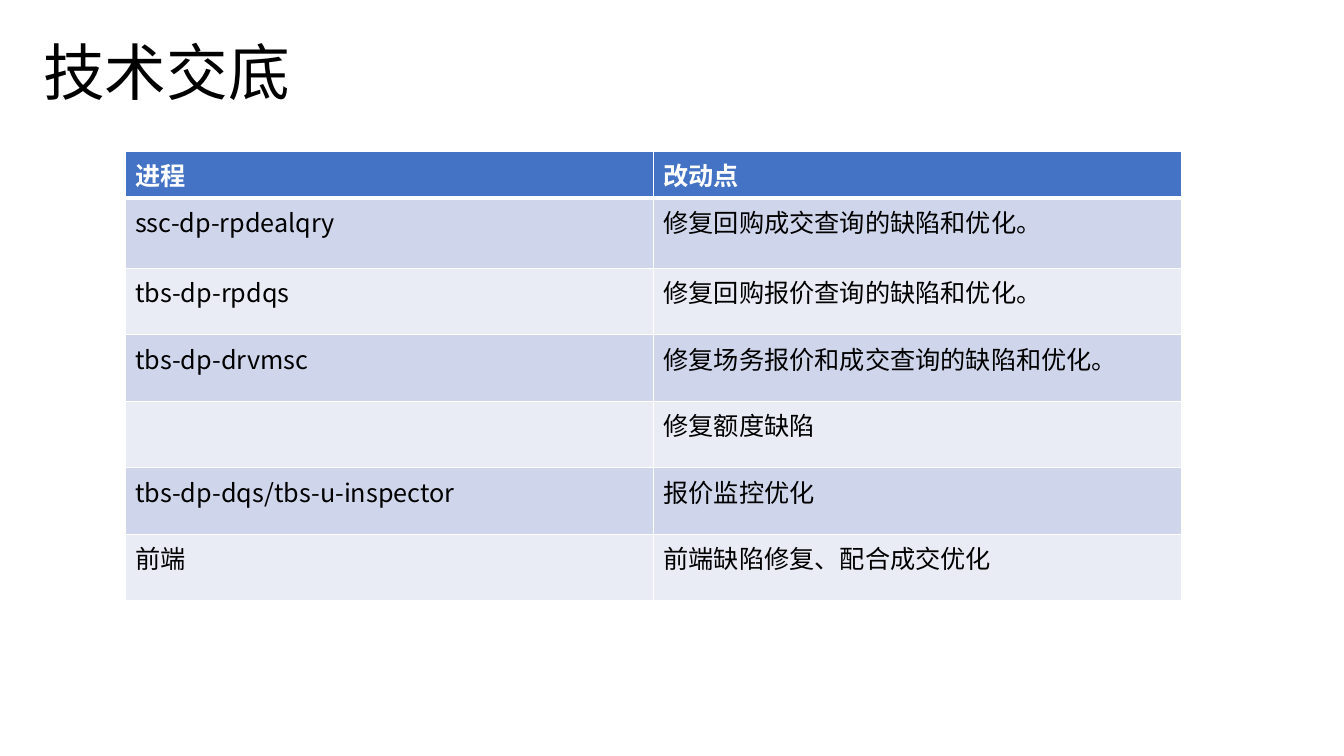
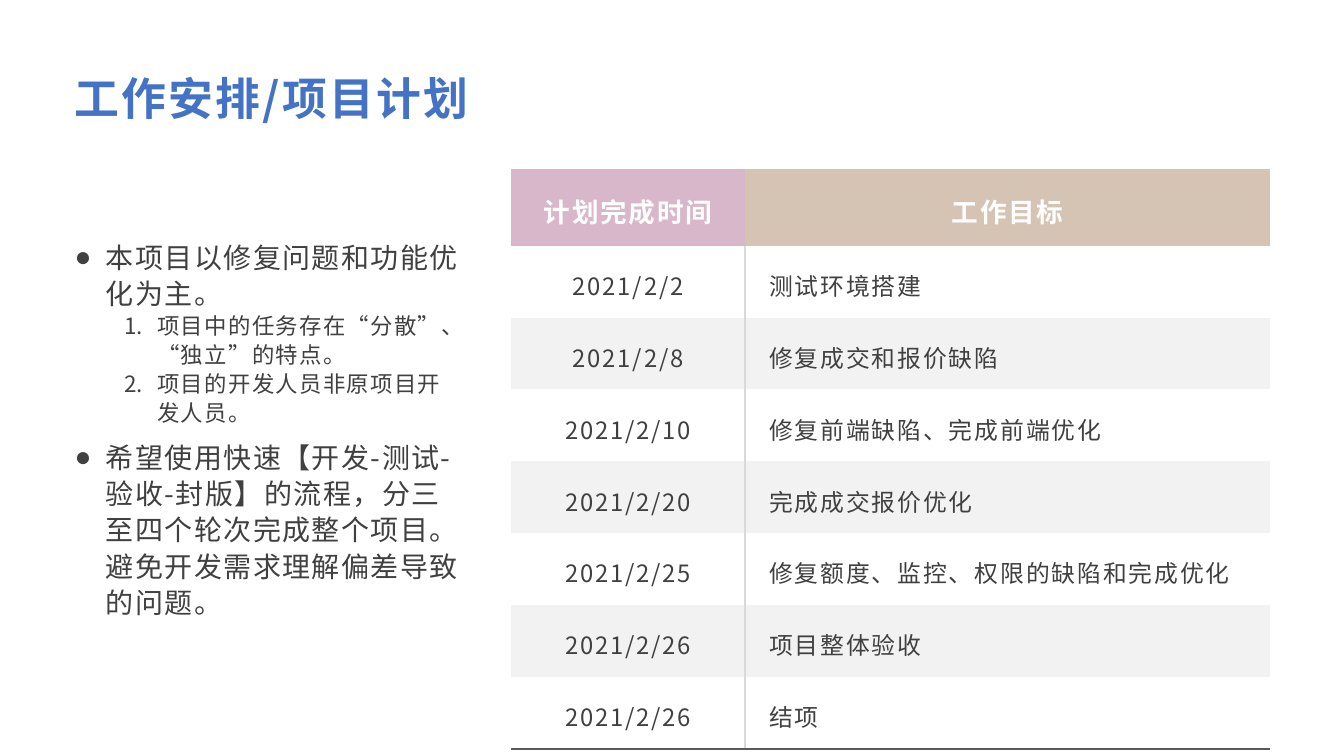
from lxml import etree
from pptx import Presentation
from pptx.dml.color import RGBColor
from pptx.enum.text import MSO_ANCHOR, MSO_AUTO_SIZE, PP_ALIGN
from pptx.oxml.ns import qn
from pptx.util import Inches, Pt

TOP, MIDDLE = MSO_ANCHOR.TOP, MSO_ANCHOR.MIDDLE
LEFT, CENTER = PP_ALIGN.LEFT, PP_ALIGN.CENTER
NO_FIT = MSO_AUTO_SIZE.NONE

FONT = "Noto Sans CJK SC"
COLORS = {
    "black": "000000",
    "white": "FFFFFF",
    "blue": "4472C4",
    "blue_band": "CFD5EA",
    "blue_pale": "E9EBF5",
    "text": "404040",
    "pink": "D7B7C9",
    "sand": "D5C4B3",
    "gray_band": "F2F2F2",
    "gray_line": "D9D9D9",
    "dark_line": "595959",
}
TEXT_STYLES = {
    "page_title": ("black", 0, {"size": Pt(44), "bold": False}),
    "plan_title": ("blue", 1.6, {"size": Pt(32), "bold": True}),
    "point": ("text", 1, {"size": Pt(20), "bold": False}),
    "subpoint": ("text", 1, {"size": Pt(16), "bold": False}),
    "change_head": ("white", 0, {"size": Pt(18), "bold": True}),
    "change_cell": ("black", 0, {"size": Pt(18), "bold": False}),
    "plan_head": ("white", 1.3, {"size": Pt(19), "bold": True}),
    "plan_cell": ("text", 1.3, {"size": Pt(17), "bold": False}),
}
SLIM_MARGINS = (0.07, 0.03, 0.07, 0.03)
CELL_MARGINS = (0.24, 0.15, 0.24, 0.15)
MARGIN_NAMES = ("margin_left", "margin_top", "margin_right", "margin_bottom")

CHANGES = [
    ("进程", "改动点"),
    ("ssc-dp-rpdealqry", "修复回购成交查询的缺陷和优化。"),
    ("tbs-dp-rpdqs", "修复回购报价查询的缺陷和优化。"),
    ("tbs-dp-drvmsc", "修复场务报价和成交查询的缺陷和优化。"),
    ("", "修复额度缺陷"),
    ("tbs-dp-dqs/tbs-u-inspector", "报价监控优化"),
    ("前端", "前端缺陷修复、配合成交优化"),
]
PLAN = [
    ("计划完成时间", "工作目标"),
    ("2021/2/2", "测试环境搭建"),
    ("2021/2/8", "修复成交和报价缺陷"),
    ("2021/2/10", "修复前端缺陷、完成前端优化"),
    ("2021/2/20", "完成成交报价优化"),
    ("2021/2/25", "修复额度、监控、权限的缺陷和完成优化"),
    ("2021/2/26", "项目整体验收"),
    ("2021/2/26", "结项"),
]
POINTS = [
    (0, "本项目以修复问题和功能优化为主。"),
    (1, "项目中的任务存在“分散”、“独立”的特点。"),
    (1, "项目的开发人员非原项目开发人员。"),
    (0, "希望使用快速【开发-测试-验收-封版】的流程，"
        "分三至四个轮次完成整个项目。避免开发需求理解偏差导致的问题。"),
]
LEVELS = [
    {"style": "point", "left": 0.31, "hang": 0.31, "before": 8,
     "marker": ("a:buChar", {"char": "●"})},
    {"style": "subpoint", "left": 0.82, "hang": 0.33, "before": 0,
     "marker": ("a:buAutoNum", {"type": "arabicPeriod"})},
]


def set_values(target, values):
    for name, value in values.items():
        setattr(target, name, value)


def set_margins(target, margins):
    set_values(target, dict(zip(MARGIN_NAMES, map(Inches, margins))))


def write_text(para, text, style, **para_values):
    color, tracking, font_values = TEXT_STYLES[style]
    set_values(para, para_values)
    span = para.add_run()
    span.text = text
    set_values(span.font, {**font_values, "name": FONT})
    span.font.color.rgb = RGBColor.from_string(COLORS[color])
    properties = span.font._element
    if tracking:
        properties.set("spc", str(round(tracking * 100)))
    east_asian = etree.Element(qn("a:ea"), typeface=FONT)
    properties.find(qn("a:latin")).addnext(east_asian)


def place(shape, box):
    names = ("left", "top", "width", "height")
    set_values(shape, dict(zip(names, map(Inches, box))))


def add_title(page, box, text, style, anchor, margins=None, spacing=1.0):
    title = page.shapes.title
    place(title, box)
    frame = title.text_frame
    set_values(frame, {"auto_size": NO_FIT, "word_wrap": True, "vertical_anchor": anchor})
    if margins:
        set_margins(frame, margins)
    write_text(frame.paragraphs[0], text, style, alignment=LEFT, line_spacing=spacing)


def add_points(page, box, points):
    body = page.placeholders[1]
    place(body, box)
    frame = body.text_frame
    set_values(frame, {"auto_size": NO_FIT, "word_wrap": True, "vertical_anchor": MIDDLE})
    set_margins(frame, SLIM_MARGINS)
    for index, (depth, text) in enumerate(points):
        level = LEVELS[depth]
        para = frame.paragraphs[0] if index == 0 else frame.add_paragraph()
        properties = para._p.get_or_add_pPr()
        properties.set("marL", str(Inches(level["left"])))
        properties.set("indent", str(-Inches(level["hang"])))
        tag, attributes = level["marker"]
        etree.SubElement(properties, qn(tag), attributes)
        write_text(para, text, level["style"], level=depth, alignment=LEFT,
                   line_spacing=1.08, space_after=Pt(0),
                   space_before=Pt(level["before"] if index else 0))


def set_borders(cell, borders):
    properties = cell._tc.get_or_add_tcPr()
    for index, side in enumerate("LRTB"):
        line = etree.Element(qn(f"a:ln{side}"))
        if side in borders:
            color, width = borders[side]
            line.set("w", str(Pt(width)))
            fill = etree.SubElement(line, qn("a:solidFill"))
            etree.SubElement(fill, qn("a:srgbClr"), val=COLORS[color])
        else:
            etree.SubElement(line, qn("a:noFill"))
        properties.insert(index, line)


def add_grid(page, box, widths, heights, rows, format_cell):
    table = page.shapes.add_table(len(rows), len(widths), *map(Inches, box)).table
    for column, width in zip(table.columns, widths):
        column.width = Inches(width)
    for row, height in zip(table.rows, heights):
        row.height = Inches(height)
    for row, texts in enumerate(rows):
        for column, text in enumerate(texts):
            cell = table.cell(row, column)
            look = format_cell(row, column)
            cell.fill.solid()
            cell.fill.fore_color.rgb = RGBColor.from_string(COLORS[look["fill"]])
            set_borders(cell, look["borders"])
            set_values(cell, {"vertical_anchor": look["anchor"]})
            if look["margins"]:
                set_margins(cell, look["margins"])
            if text:
                write_text(cell.text_frame.paragraphs[0], text, look["style"], **look["para"])


def format_change(row, column):
    borders = dict.fromkeys("LRTB", ("white", 1))
    if row == 0:
        borders["B"] = ("white", 3)
    elif row == 1:
        borders["T"] = ("white", 3)
    band = "blue_band" if row % 2 else "blue_pale"
    return {
        "fill": band if row else "blue",
        "borders": borders,
        "anchor": TOP,
        "margins": None,
        "style": "change_cell" if row else "change_head",
        "para": {"alignment": LEFT},
    }


def format_plan(row, column):
    borders = {}
    if row:
        borders["L" if column else "R"] = ("gray_line", 1)
    if row == len(PLAN) - 1:
        borders["B"] = ("dark_line", 1.5)
    head = ("pink", "sand")[column]
    band = "white" if row % 2 else "gray_band"
    return {
        "fill": band if row else head,
        "borders": borders,
        "anchor": MIDDLE,
        "margins": CELL_MARGINS,
        "style": "plan_cell" if row else "plan_head",
        "para": {"alignment": LEFT if row and column else CENTER, "line_spacing": 1.2},
    }


def build_changes(deck):
    page = deck.slides.add_slide(deck.slide_layouts[5])
    add_title(page, (0.33, 0.31, 8.02, 0.87), "技术交底", "page_title", MIDDLE, spacing=0.9)
    heights = [0.4, 0.7] + [0.66] * (len(CHANGES) - 2)
    add_grid(page, (1.24, 1.5, 10.48, 4.41), [5.24, 5.24], heights, CHANGES, format_change)


def build_plan(deck):
    page = deck.slides.add_slide(deck.slide_layouts[1])
    add_title(page, (0.67, 0.67, 12, 0.83), "工作安排/项目计划", "plan_title", TOP, SLIM_MARGINS)
    add_points(page, (0.67, 1.66, 4, 5.18), POINTS)
    heights = [0.68] + [0.64] * (len(PLAN) - 1)
    add_grid(page, (5.07, 1.68, 7.53, 5.13), [2.32, 5.21], heights, PLAN, format_plan)


def main():
    deck = Presentation()
    set_values(deck, {"slide_width": Inches(13.33), "slide_height": Inches(7.5)})
    build_changes(deck)
    build_plan(deck)
    deck.save("out.pptx")


if __name__ == "__main__":
    main()
